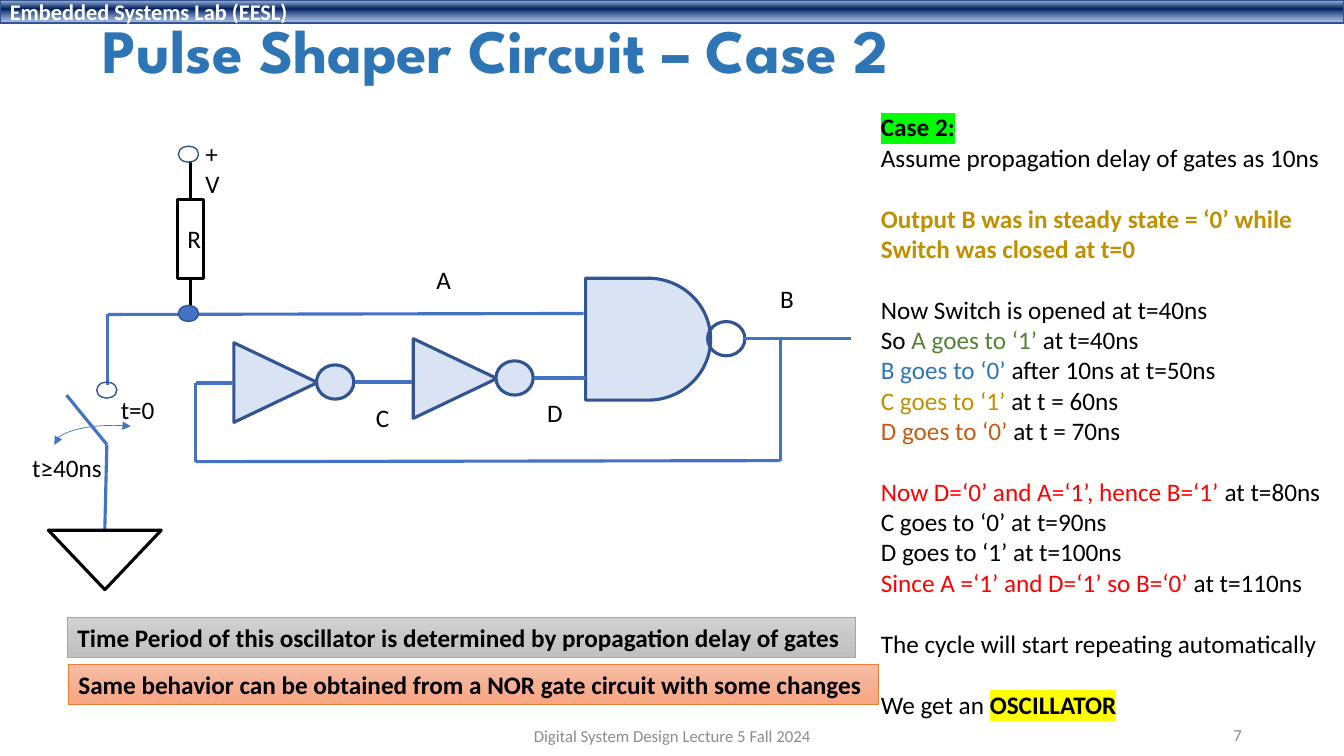
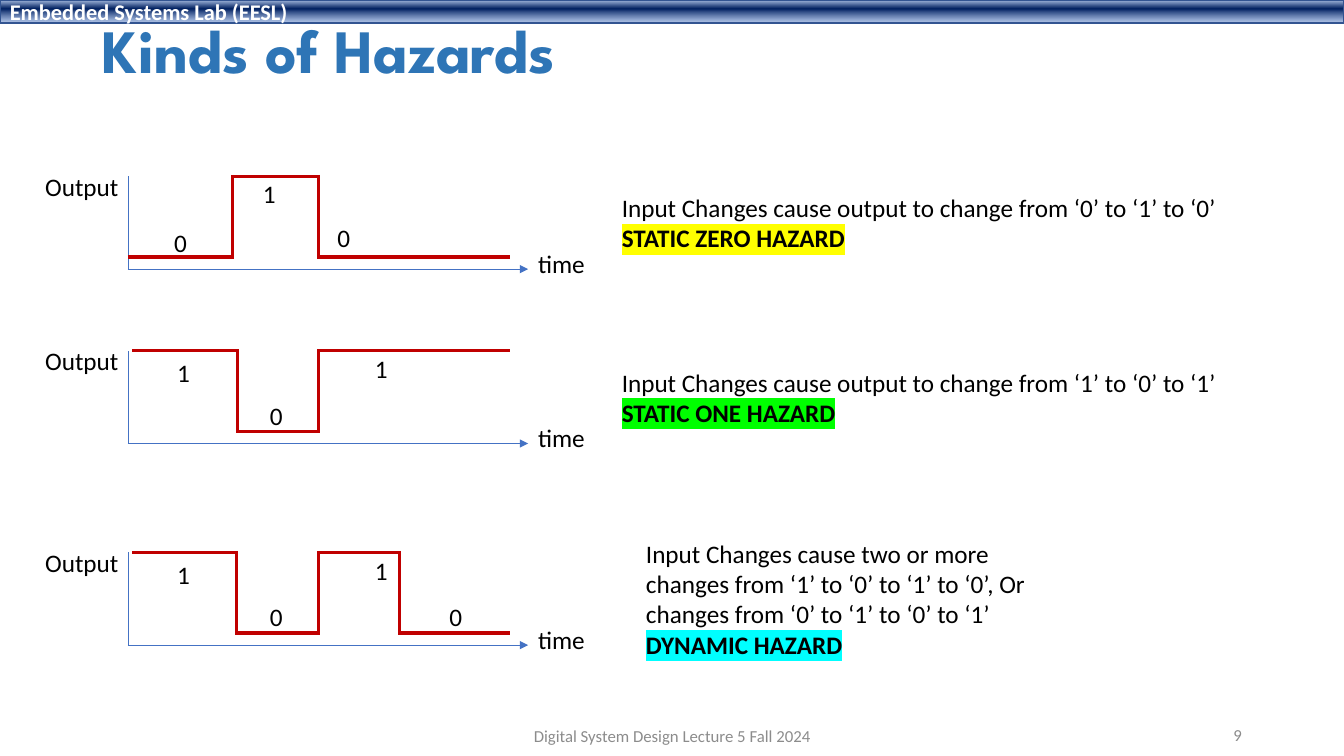
from dataclasses import dataclass
from itertools import pairwise
from typing import NamedTuple

from lxml import etree
from pptx import Presentation
from pptx.dml.color import RGBColor
from pptx.enum.shapes import MSO_CONNECTOR, MSO_SHAPE
from pptx.enum.text import MSO_ANCHOR, MSO_AUTO_SIZE, PP_ALIGN
from pptx.oxml.ns import qn
from pptx.util import Inches, Pt

RECT, OVAL, TRIANGLE = MSO_SHAPE.RECTANGLE, MSO_SHAPE.OVAL, MSO_SHAPE.ISOSCELES_TRIANGLE
DELAY, ARC = MSO_SHAPE.FLOWCHART_DELAY, MSO_SHAPE.ARC
STRAIGHT = MSO_CONNECTOR.STRAIGHT
TOP, MIDDLE = MSO_ANCHOR.TOP, MSO_ANCHOR.MIDDLE
LEFT, CENTER, RIGHT = PP_ALIGN.LEFT, PP_ALIGN.CENTER, PP_ALIGN.RIGHT
FIT, FIXED = MSO_AUTO_SIZE.SHAPE_TO_FIT_TEXT, MSO_AUTO_SIZE.NONE

BLACK, WHITE = RGBColor(0, 0, 0), RGBColor(255, 255, 255)
BLUE, OUTLINE, PALE = RGBColor(0x44, 0x72, 0xC4), RGBColor(0x32, 0x54, 0x91), RGBColor(0xDA, 0xE3, 0xF3)
TITLE_BLUE, FOOTER_GRAY = RGBColor(0x2E, 0x75, 0xB6), RGBColor(0x8C, 0x8C, 0x8C)
GOLD, GREEN, RUST = RGBColor(0xBF, 0x90, 0), RGBColor(0x54, 0x82, 0x35), RGBColor(0xC5, 0x5A, 0x11)
RED, SIGNAL_RED = RGBColor(255, 0, 0), RGBColor(0xC0, 0, 0)
GRAY, ORANGE = RGBColor(0xA5, 0xA5, 0xA5), RGBColor(0xED, 0x7D, 0x31)
YELLOW, LIME, CYAN = RGBColor(255, 255, 0), RGBColor(0, 255, 0), RGBColor(0, 255, 255)

BODY_FONT, TITLE_FONT = "Calibri", "League Spartan"
THIN, THICK = 0.5, 2.25
COLS, ROWS = 133.33, 75  # the grid has ten cells to the inch
LABEL_ROWS = 4
BLANK_LINE = Pt(22)


class Box(NamedTuple):
    col: float
    row: float
    cols: float
    rows: float


class Stop(NamedTuple):
    percent: int
    color: str
    alpha: int = 100


class Span(NamedTuple):
    text: str
    color: RGBColor = BLACK
    bold: bool = False
    highlight: RGBColor | None = None


class Line(NamedTuple):
    spans: list[Span]
    gap: bool = False


class Label(NamedTuple):
    text: str
    col: float
    row: float
    cols: float


@dataclass(frozen=True)
class Hazard:
    row: float
    levels: str
    edges: list[float]
    digits: list[tuple[float, float]]
    caption_box: Box
    caption: list[str]
    kind: str
    highlight: RGBColor


BAND_STOPS = [Stop(2, "ABC0E4"), Stop(38, "002060"), Stop(93, "7E9ED6", 64)]
GRAY_STOPS = [Stop(0, "D2D2D2"), Stop(50, "C8C8C8"), Stop(100, "C0C0C0")]
ORANGE_STOPS = [Stop(0, "F7BDA5"), Stop(50, "F5B196"), Stop(100, "F8A582")]

CASE_LINES = [
    Line([Span("Case 2:", bold=True, highlight=LIME)]),
    Line([Span("Assume propagation delay of gates as 10ns")]),
    Line([Span("Output B was in steady state = ‘0’ while", GOLD, True)], gap=True),
    Line([Span("Switch was closed at t=0", GOLD, True)]),
    Line([Span("Now Switch is opened at t=40ns")], gap=True),
    Line([Span("So "), Span("A goes to ‘1’ ", GREEN), Span("at t=40ns")]),
    Line([Span("B goes to ‘0’ ", TITLE_BLUE), Span("after 10ns at t=50ns")]),
    Line([Span("C goes to ‘1’ ", GOLD), Span("at t = 60ns")]),
    Line([Span("D goes to ‘0’ ", RUST), Span("at t = 70ns")]),
    Line([Span("Now D=‘0’ and A=‘1’, hence B=‘1’ ", RED), Span("at t=80ns")], gap=True),
    Line([Span("C goes to ‘0’ at t=90ns")]),
    Line([Span("D goes to ‘1’ at t=100ns")]),
    Line([Span("Since A =‘1’ and D=‘1’ so B=‘0’ ", RED), Span("at t=110ns")]),
    Line([Span("The cycle will start repeating automatically")], gap=True),
    Line([Span("We get an "), Span("OSCILLATOR", bold=True, highlight=YELLOW)], gap=True),
]

CIRCUIT_LABELS = [
    Label("A", 42.3, 25.7, 3.4), Label("B", 76.4, 27.6, 3.4),
    Label("C", 36.3, 39.4, 3.4), Label("D", 53.3, 38.9, 3.5),
    Label("t=0", 11, 38.6, 5.4), Label("t≥40ns", 2.2, 44.4, 9),
]

BLUE_WIRES = [
    [(57.9, 31.1), (10.7, 31.2), (10.7, 38.2)],              # A and the switch
    [(6.6, 39.2), (10.6, 44.1), (10.4, 52.5)],               # switch arm to ground
    [(35.2, 37.9), (40.9, 37.9)],                            # C
    [(53, 37.5), (58.1, 37.5)],                              # D
    [(73.8, 33.6), (84.4, 33.6)],                            # B
    [(77.4, 33.6), (77.4, 45.7), (19.4, 45.8), (19.4, 38), (23.2, 38)],  # feedback
]

HAZARDS = [
    Hazard(17.5, "010", [12.7, 23.1, 31.6, 50.6], [(16.3, 4.6), (25.1, -0.3), (32.5, 4.1)],
           Box(60.7, 18.6, 61.7, 7.1),
           ["Input Changes cause output to change from ‘0’ to ‘1’ to ‘0’"],
           "STATIC ZERO HAZARD", YELLOW),
    Hazard(34.8, "101", [13.1, 23.6, 31.6, 50.6], [(16.6, 0.2), (25.8, 4.4), (36.2, -0.2)],
           Box(60.7, 35.9, 61.7, 7.1),
           ["Input Changes cause output to change from ‘1’ to ‘0’ to ‘1’"],
           "STATIC ONE HAZARD", LIME),
    Hazard(54.8, "1010", [13.1, 23.5, 31.6, 39.6, 50.6],
           [(16.6, 0.2), (25.8, 4.4), (36.2, -0.2), (43.6, 4.4)],
           Box(63.1, 52.9, 40.1, 13.1),
           ["Input Changes cause two or more", "changes from ‘1’ to ‘0’ to ‘1’ to ‘0’, Or",
            "changes from ‘0’ to ‘1’ to ‘0’ to ‘1’"],
           "DYNAMIC HAZARD", CYAN),
]


def grid(cells: float) -> int:
    return Inches(cells / 10)


def place(box: Box) -> list[int]:
    return [grid(cells) for cells in box]


def add_arrowheads(shape, *ends: str) -> None:
    """Put triangles at the given ends: headEnd, then tailEnd."""
    for end in ends:
        etree.SubElement(shape.line._get_or_add_ln(), qn(f"a:{end}"), type="triangle")


def fill_gradient(shape, stops: list[Stop]) -> None:
    shape.fill.gradient()
    shape.fill.gradient_angle = 270
    stop_list = shape._element.spPr.find(".//" + qn("a:gsLst"))
    for old_stop in list(stop_list):
        stop_list.remove(old_stop)
    for stop in stops:
        mark = etree.SubElement(stop_list, qn("a:gs"), pos=str(stop.percent * 1000))
        color = etree.SubElement(mark, qn("a:srgbClr"), val=stop.color)
        if stop.alpha < 100:
            etree.SubElement(color, qn("a:alpha"), val=str(stop.alpha * 1000))


def format_run(run, size: float, color: RGBColor, bold: bool = False, font: str = BODY_FONT) -> None:
    run.font.size, run.font.bold, run.font.name = Pt(size), bold, font
    run.font.color.rgb = color


def highlight_run(run, color: RGBColor) -> None:
    highlight = etree.Element(qn("a:highlight"))
    etree.SubElement(highlight, qn("a:srgbClr"), val=str(color))
    run.font._element.find(qn("a:solidFill")).addnext(highlight)


def write(shape, text: str, size: float = 18, color: RGBColor = BLACK, bold: bool = False,
          align=LEFT, anchor=TOP, wrap: bool = False) -> None:
    frame = shape.text_frame
    frame.text, frame.word_wrap, frame.vertical_anchor = text, wrap, anchor
    frame.auto_size = FIXED if wrap else FIT
    frame.paragraphs[0].alignment = align
    format_run(frame.paragraphs[0].runs[0], size, color, bold)


def add_text(slide, box: Box, text: str, **style) -> None:
    write(slide.shapes.add_textbox(*place(box)), text, **style)


def add_label(slide, label: Label) -> None:
    add_text(slide, Box(label.col, label.row, label.cols, LABEL_ROWS), label.text)


def add_lines(slide, box: Box, lines: list[Line]) -> None:
    frame = slide.shapes.add_textbox(*place(box)).text_frame
    frame.word_wrap, frame.auto_size = False, FIT
    for index, line in enumerate(lines):
        paragraph = frame.add_paragraph() if index else frame.paragraphs[0]
        if line.gap:
            paragraph.space_before = BLANK_LINE
        for span in line.spans:
            run = paragraph.add_run()
            run.text = span.text
            format_run(run, 18, span.color, span.bold)
            if span.highlight:
                highlight_run(run, span.highlight)


def add_figure(slide, kind, box: Box, line: RGBColor = OUTLINE, width: float = THICK,
               fill: RGBColor | None = None, turn: float = 0):
    figure = slide.shapes.add_shape(kind, *place(box))
    figure.shadow.inherit = False
    figure.rotation = turn
    figure.line.color.rgb, figure.line.width = line, Pt(width)
    if fill is None:
        figure.fill.background()
    else:
        figure.fill.solid()
        figure.fill.fore_color.rgb = fill
    return figure


def add_wire(slide, points: list[tuple[float, float]], color: RGBColor = BLUE,
             width: float = THICK, arrow: bool = False) -> None:
    """Join the points with straight connectors."""
    for start, end in pairwise(points):
        wire = slide.shapes.add_connector(STRAIGHT, *map(grid, (*start, *end)))
        wire.line.color.rgb, wire.line.width = color, Pt(width)
        etree.SubElement(wire._element.spPr, qn("a:effectLst"))
        if arrow:
            add_arrowheads(wire, "tailEnd")


def start_slide(deck, title: str, number: int):
    """Add a slide with the band, title, footer and number that all slides share."""
    slide = deck.slides.add_slide(deck.slide_layouts[5])
    band = add_figure(slide, RECT, Box(0, 0, COLS, 2.3), width=1)
    fill_gradient(band, BAND_STOPS)
    write(band, "Embedded Systems Lab (EESL)", 16, WHITE, True, anchor=MIDDLE, wrap=True)
    heading = slide.shapes.title
    heading.left, heading.top, heading.width, heading.height = place(Box(9.2, 1.5, 115, 7.7))
    write(heading, title, 44, TITLE_BLUE, True, anchor=MIDDLE, wrap=True)
    paragraph = heading.text_frame.paragraphs[0]
    paragraph.line_spacing = 0.9
    paragraph.runs[0].font.name = TITLE_FONT
    small = dict(size=12, color=FOOTER_GRAY, anchor=MIDDLE, wrap=True)
    add_text(slide, Box(44.2, 71, 45, 4), "Digital System Design Lecture 5 Fall 2024", align=CENTER, **small)
    add_text(slide, Box(94.2, 70.9, 30, 4), str(number), align=RIGHT, **small)
    return slide


def add_note(slide, box: Box, text: str, stops: list[Stop], line: RGBColor) -> None:
    note = add_figure(slide, RECT, box, line, THIN)
    fill_gradient(note, stops)
    write(note, text, bold=True)


def draw_circuit(slide) -> None:
    resistor = add_figure(slide, RECT, Box(17.6, 19.8, 2.6, 7.8), BLACK)
    write(resistor, "R", align=CENTER, anchor=MIDDLE, wrap=True)
    for top, bottom in ((16, 19.8), (27.7, 31.3)):
        add_wire(slide, [(18.9, top), (18.9, bottom)], BLACK)
    for col, row in ((23.4, 33.8), (41.2, 33.4)):
        add_figure(slide, TRIANGLE, Box(col, row, 7.9, 8.3), fill=PALE, turn=90)
        add_figure(slide, OVAL, Box(col + 8, row + 2.4, 3.7, 3.4), fill=PALE)
    add_figure(slide, DELAY, Box(58.1, 27.6, 12.4, 12.1), fill=PALE)
    add_figure(slide, OVAL, Box(70.2, 31.9, 3.7, 3.4))
    for points in BLUE_WIRES:
        add_wire(slide, points)
    add_figure(slide, TRIANGLE, Box(4.8, 52.6, 11.2, 5.9), BLACK, turn=180)
    for col, row, fill in ((9.6, 37.9, None), (17.7, 30.3, BLUE), (17.7, 14.5, None)):
        add_figure(slide, OVAL, Box(col, row, 2, 1.6), width=1, fill=fill)
    swing = add_figure(slide, ARC, Box(5.4, 42.2, 11.6, 3.8), BLUE, THIN)
    swing.adjustments[0], swing.adjustments[1] = 107.79, 188.71
    add_arrowheads(swing, "headEnd", "tailEnd")
    add_text(slide, Box(19.4, 13.2, 4.6, 7), "+V", wrap=True)
    for label in CIRCUIT_LABELS:
        add_label(slide, label)


def draw_hazard(slide, hazard: Hazard) -> None:
    origin, axis_row = 12.7, hazard.row + 9.2
    add_wire(slide, [(origin, axis_row), (origin, hazard.row)], width=THIN)
    add_wire(slide, [(origin, axis_row), (52.4, axis_row)], width=THIN, arrow=True)
    level_rows = [hazard.row + (0 if level == "1" else 8) for level in hazard.levels]
    for (start, end), row in zip(pairwise(hazard.edges), level_rows):
        add_wire(slide, [(start, row), (end, row)], SIGNAL_RED)
    for edge, rows in zip(hazard.edges[1:], pairwise(level_rows)):
        add_wire(slide, [(edge, min(rows) - 0.15), (edge, max(rows) + 0.15)], SIGNAL_RED)
    for level, (col, drop) in zip(hazard.levels, hazard.digits):
        add_label(slide, Label(level, col, hazard.row + drop, 3.3))
    add_label(slide, Label("Output", 3.5, hazard.row - 1, 9.4))
    add_label(slide, Label("time", 52.4, hazard.row + 6.6, 6.7))
    kind = Span(hazard.kind, bold=True, highlight=hazard.highlight)
    add_lines(slide, hazard.caption_box, [Line([Span(text)]) for text in hazard.caption] + [Line([kind])])


def main() -> None:
    deck = Presentation()
    deck.slide_width, deck.slide_height = grid(COLS), grid(ROWS)

    pulse_shaper = start_slide(deck, "Pulse Shaper Circuit – Case 2", 7)
    draw_circuit(pulse_shaper)
    add_lines(pulse_shaper, Box(86.4, 10.6, 46.1, 64.6), CASE_LINES)
    add_note(pulse_shaper, Box(6.7, 61.2, 78.2, 4),
             "Time Period of this oscillator is determined by propagation delay of gates", GRAY_STOPS, GRAY)
    add_note(pulse_shaper, Box(6.8, 65.9, 80.3, 4),
             "Same behavior can be obtained from a NOR gate circuit with some changes", ORANGE_STOPS, ORANGE)

    hazards = start_slide(deck, "Kinds of Hazards", 9)
    for hazard in HAZARDS:
        draw_hazard(hazards, hazard)
    deck.save("out.pptx")


if __name__ == "__main__":
    main()
